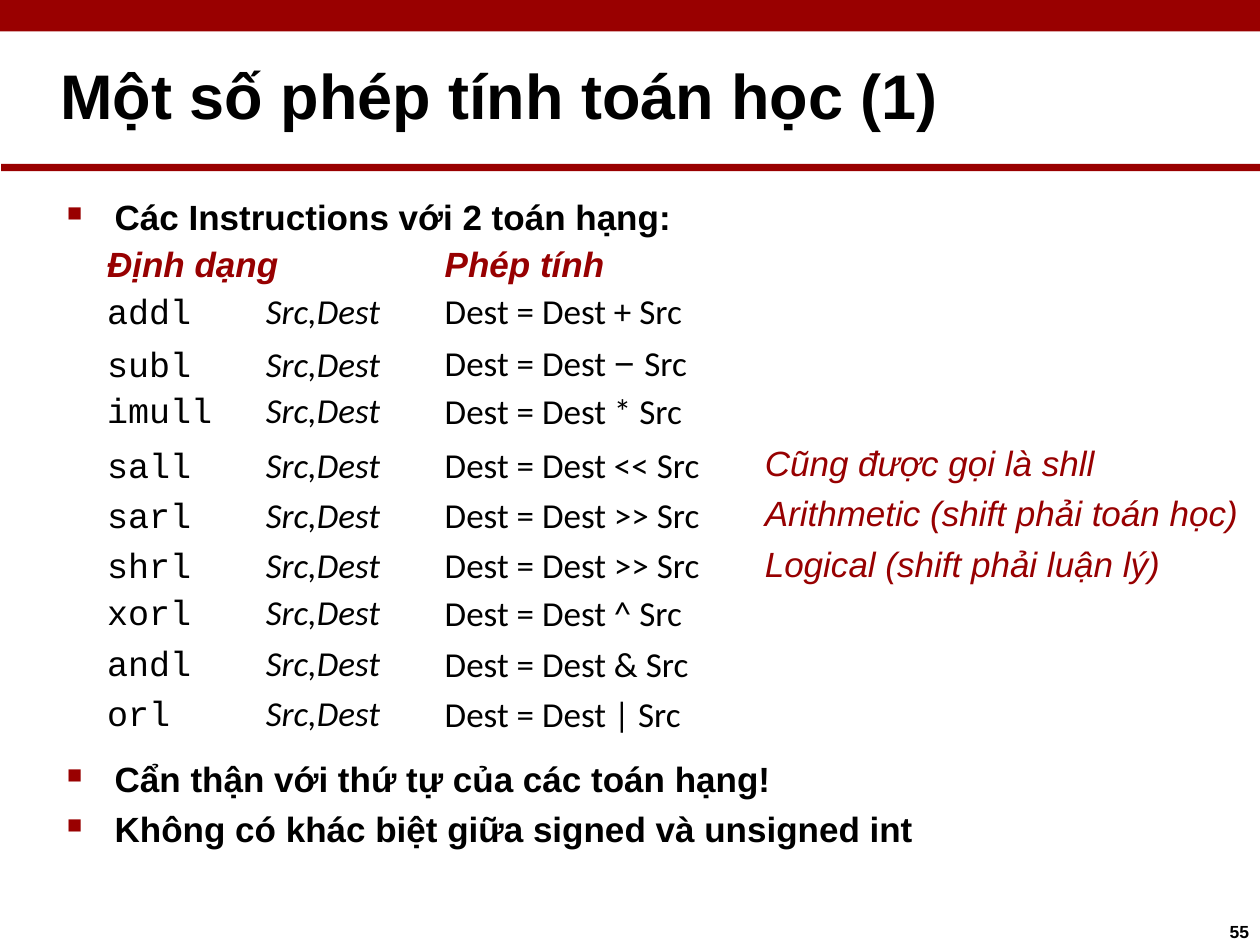
from typing import NamedTuple, Optional

from lxml.etree import SubElement
from pptx import Presentation
from pptx.dml.color import RGBColor
from pptx.enum.shapes import MSO_SHAPE
from pptx.oxml.ns import qn
from pptx.util import Inches, Pt

HUES = {"bar": "990000", "red": "970001", "ink": "000000"}
FORMS = {
    "title": {"name": "Arial", "size": Pt(36), "bold": True},
    "point": {"name": "Arial", "size": Pt(20), "bold": True},
    "head": {"name": "Arial", "size": Pt(20), "bold": True, "italic": True},
    "code": {"name": "Courier New", "size": Pt(20)},
    "args": {"name": "Calibri", "size": Pt(20), "italic": True},
    "text": {"name": "Calibri", "size": Pt(20)},
    "sign": {"name": "Arial", "size": Pt(20)},
    "note": {"name": "Arial", "size": Pt(20), "italic": True},
    "page": {"name": "Arial", "size": Pt(10), "bold": True},
}
RED = ("head", "note")


class Box(NamedTuple):
    x: float
    y: float
    w: float
    h: float
    top: float
    form: str
    lines: tuple
    dot: bool = False


class Op(NamedTuple):
    row: int
    name: str
    sign: str
    lead: Optional[float] = None
    top: float = 0
    note: str = ""


BARS = ((0, 0, 10, 0.25), (0.01, 1.3, 9.99, 0.06))
BOXES = (
    Box(0.48, 0.24, 9.5, 1.1, 0.21, "title", ("Một số phép tính toán học (1)",)),
    Box(0.52, 1.52, 5, 0.36, 0.03, "point", ("Các Instructions với 2 toán hạng:",), True),
    Box(0.52, 5.85, 7, 0.83, 0.16, "point",
        ("Cẩn thận với thứ tự của các toán hạng!",
         "Không có khác biệt giữa signed và unsigned int"), True),
    Box(9.76, 7.27, 0.2, 0.2, 0.04, "page", ("55",)),
)
COLS = (2.45, 2.56, 4.03)
ROWS = (0.36, 0.81, 0.39, 0.4, 0.4, 0.41, 0.4, 0.4, 0.36)
PADS = (0.04, 0.27, 0.25)
OPS = (
    Op(1, "addl", "+"),
    Op(1, "subl", "−"),
    Op(2, "imull", "*", 23.6),
    Op(3, "sall", "<<", top=0.02, note="Cũng được gọi là shll"),
    Op(4, "sarl", ">>", top=0.02, note="Arithmetic (shift phải toán học)"),
    Op(5, "shrl", ">>", top=0.02, note="Logical (shift phải luận lý)"),
    Op(6, "xorl", "^", 23.6),
    Op(7, "andl", "&", 23.8),
    Op(8, "orl", "|", 23.8),
)


def add_run(para, text: str, form: str) -> None:
    run = para.add_run()
    run.text = text
    for key, value in FORMS[form].items():
        setattr(run.font, key, value)
    run.font.color.rgb = RGBColor.from_string(HUES["red" if form in RED else "ink"])


def add_dot(para) -> None:
    props = para._p.get_or_add_pPr()
    props.set("marL", str(Inches(0.39)))
    props.set("indent", str(Inches(-0.38)))
    tint = SubElement(props, qn("a:buClr"))
    SubElement(tint, qn("a:srgbClr"), val=HUES["bar"])
    SubElement(props, qn("a:buSzPct"), val="60000")
    SubElement(props, qn("a:buChar"), char="■")


def add_tab(para, at: float) -> None:
    tabs = SubElement(para._p.get_or_add_pPr(), qn("a:tabLst"))
    SubElement(tabs, qn("a:tab"), pos=str(Inches(at)), algn="l")


def set_pads(item, left: float, top: float) -> None:
    pads = {"left": left, "top": top, "right": 0, "bottom": 0}
    for side, size in pads.items():
        setattr(item, f"margin_{side}", Inches(size))


def next_para(frame):
    """Use the first paragraph while it is empty, then add more."""
    first = frame.paragraphs[0]
    return frame.add_paragraph() if first.runs else first


def draw_bar(slide, area: tuple) -> None:
    bar = slide.shapes.add_shape(MSO_SHAPE.RECTANGLE, *map(Inches, area))
    bar.shadow.inherit = False
    bar.fill.solid()
    bar.fill.fore_color.rgb = RGBColor.from_string(HUES["bar"])
    bar.line.fill.background()


def draw_box(slide, box: Box) -> None:
    frame = slide.shapes.add_textbox(*map(Inches, box[:4])).text_frame
    frame.word_wrap = True
    set_pads(frame, 0, box.top)
    for i, line in enumerate(box.lines):
        para = next_para(frame)
        if box.dot:
            add_dot(para)
        if i:
            para.space_before = Pt(4.8)
        add_run(para, line, box.form)


def fill_cell(cell, runs: list, lead: Optional[float], tab: float = 0) -> None:
    frame = cell.text_frame
    para = next_para(frame)
    if tab:
        add_tab(para, tab)
    if lead:
        para.line_spacing = Pt(lead)
    if len(frame.paragraphs) > 1:
        para.space_before = Pt(5)
    for text, form in runs:
        add_run(para, text, form)


def draw_op(grid, op: Op) -> None:
    name, sum_, note = (grid.cell(op.row, col) for col in range(3))
    for cell, pad in zip((name, sum_, note), PADS):
        set_pads(cell, pad, op.top)
    fill_cell(name, [(f"{op.name}\t", "code"), ("Src,Dest", "args")], op.lead, 1.26)
    sign = "sign" if op.sign == "−" else "text"
    fill_cell(sum_, [("Dest = Dest ", "text"), (f"{op.sign} ", sign), ("Src", "text")], op.lead)
    if op.note:
        fill_cell(note, [(op.note, "note")], op.lead)


def draw_grid(slide) -> None:
    grid = slide.shapes.add_table(
        len(ROWS), len(COLS), Inches(0.81), Inches(1.95),
        Inches(sum(COLS)), Inches(sum(ROWS))).table
    grid.first_row = grid.horz_banding = False
    for col, wide in zip(grid.columns, COLS):
        col.width = Inches(wide)
    for row, high in zip(grid.rows, ROWS):
        row.height = Inches(high)
    for cell in grid.iter_cells():
        cell.fill.background()
        set_pads(cell, 0, 0)
    grid.cell(0, 2).merge(grid.cell(2, 2))
    # Heading row
    for col, text in enumerate(("Định dạng", "Phép tính")):
        set_pads(grid.cell(0, col), PADS[col], 0)
        fill_cell(grid.cell(0, col), [(text, "head")], 22.1)
    # Instructions
    for op in OPS:
        draw_op(grid, op)


def main() -> None:
    deck = Presentation()
    deck.slide_width, deck.slide_height = Inches(10), Inches(7.5)
    slide = deck.slides.add_slide(deck.slide_layouts[6])
    # Top band and rule under the title
    for area in BARS:
        draw_bar(slide, area)
    # Title, points and page number
    for box in BOXES:
        draw_box(slide, box)
    # Table of instructions
    draw_grid(slide)
    deck.save("out.pptx")


if __name__ == "__main__":
    main()
